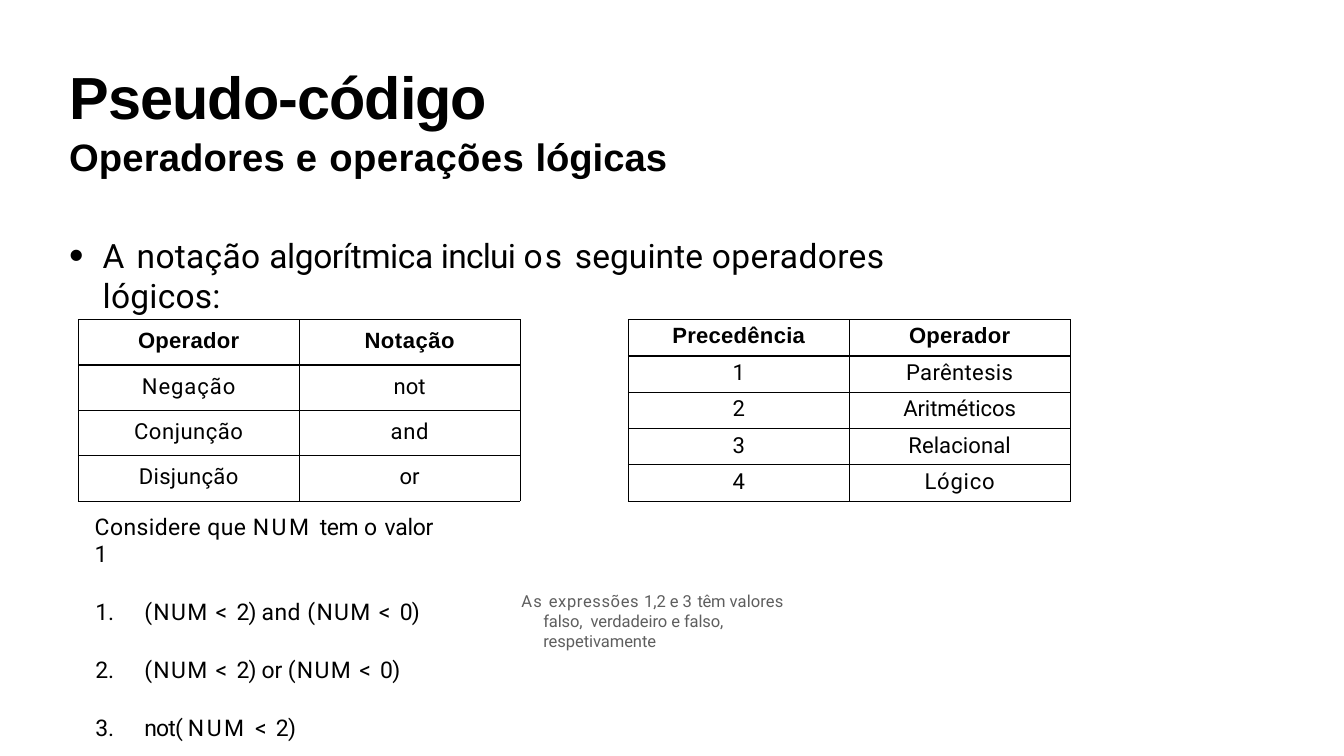
from lxml.etree import SubElement
from pptx import Presentation
from pptx.dml.color import RGBColor
from pptx.enum.text import MSO_ANCHOR, MSO_AUTO_SIZE, PP_ALIGN
from pptx.oxml.ns import qn
from pptx.util import Pt

BLACK = RGBColor(0x00, 0x00, 0x00)
GRAY = RGBColor(0x5E, 0x5E, 0x5E)
SCALE = 9144
HEAD = "Arial"
BODY = "Roboto"


def px(size):
    return size * SCALE


class Deck:
    def __init__(self, width, height):
        self.show = Presentation()
        self.show.slide_width = px(width)
        self.show.slide_height = px(height)
        self.slide = self.show.slides.add_slide(self.show.slide_layouts[3])

    def place(self, shape, left, top, width, height):
        shape.left, shape.top = px(left), px(top)
        shape.width, shape.height = px(width), px(height)
        frame = shape.text_frame
        frame.margin_left = frame.margin_right = frame.margin_bottom = 0
        frame.margin_top = px(1)
        frame.word_wrap = True
        frame.auto_size = MSO_AUTO_SIZE.NONE
        frame.vertical_anchor = MSO_ANCHOR.TOP
        return frame

    def holder(self, index, *box):
        return self.place(self.slide.placeholders[index], *box)

    def box(self, *box):
        return self.place(self.slide.shapes.add_textbox(0, 0, 0, 0), *box)

    def style(self, run, size, face, space, color=BLACK, bold=False):
        font = run.font
        font.size, font.name, font.bold = Pt(size), face, bold
        font.color.rgb = color
        run._r.get_or_add_rPr().set("spc", str(round(space * 100)))

    def line(self, para, parts, size, face=BODY, color=BLACK, bold=False,
             before=1, margin=0, hang=0, mark=None):
        para.alignment = PP_ALIGN.LEFT
        para.space_before = Pt(before)
        props = para._p.get_or_add_pPr()
        props.set("marL", str(px(margin)))
        props.set("indent", str(px(-hang)))
        if mark == "dot":
            SubElement(props, qn("a:buSzPct"), val="123000")
            SubElement(props, qn("a:buFont"), typeface=HEAD)
            SubElement(props, qn("a:buChar"), char="•")
        elif mark == "number":
            SubElement(props, qn("a:buFont"), typeface=BODY)
            SubElement(props, qn("a:buAutoNum"), type="arabicPeriod")
        else:
            SubElement(props, qn("a:buNone"))
        for text, space in parts:
            run = para.add_run()
            run.text = text
            self.style(run, size, face, space, color, bold)

    def border(self, cell, side, width):
        edge = SubElement(cell._tc.get_or_add_tcPr(), qn(f"a:ln{side}"),
                          w=str(Pt(width)))
        fill = SubElement(edge, qn("a:solidFill"))
        SubElement(fill, qn("a:srgbClr"), val=str(BLACK))

    def table(self, left, top, width, height, pad, rows):
        frame = self.slide.shapes.add_table(
            len(rows), 2, px(left), px(top), px(width), px(height))
        table = frame.table
        table.first_row = table.horz_banding = False
        for r, row in enumerate(rows):
            for c, (text, space) in enumerate(row):
                cell = table.cell(r, c)
                cell.text = text
                cell.margin_left = cell.margin_right = cell.margin_bottom = 0
                cell.margin_top = px(pad)
                para = cell.text_frame.paragraphs[0]
                para.alignment = PP_ALIGN.CENTER
                self.style(para.runs[0], 26, BODY if r else HEAD, space,
                           bold=r == 0)
                for side in "LR":
                    self.border(cell, side, 1)
                self.border(cell, "T", 3 if r == 1 else 1)
                self.border(cell, "B", 3 if r == 0 else 1)
                cell.fill.background()


def less(start, limit):
    return [*start, ("< ", 2.1), (limit, -0.9)]


def main():
    deck = Deck(2199, 1237)

    title = deck.holder(0, 112, 97, 980, 197)
    deck.line(title.paragraphs[0], [("Pseudo-código", -1.1)], 70, HEAD,
              bold=True, margin=2)
    deck.line(title.add_paragraph(),
              [("Operadores ", 0.2), ("e ", 1), ("operações ", 0.5),
               ("lógicas", 0)], 45, HEAD, bold=True, before=2, margin=1)

    intro = deck.holder(1, 112, 383, 1537, 69)
    deck.line(intro.paragraphs[0],
              [("A ", 2.3), ("notação ", 0.4), ("algorítmica", -0.5),
               (" inclui ", -0.9), ("os ", 2.6), ("seguinte ", 0.1),
               ("operadores ", 0.5), ("lógicos:", 0.3)],
              39.5, margin=56, hang=55, mark="dot")

    deck.table(128, 523, 723, 297, 14, [
        [("Operador", 0.3), ("Notação", 0.6)],
        [("Negação", 1.1), ("not", -0.1)],
        [("Conjunção", 0.6), ("and", 0.7)],
        [("Disjunção", 0.4), ("or", -0.1)],
    ])
    deck.table(1028, 523, 723, 297, 7, [
        [("Precedência", 0.3), ("Operador", 0.3)],
        [("1", 0), ("Parêntesis", 0.4)],
        [("2", 0), ("Aritméticos", -0.1)],
        [("3", 0), ("Relacional", 0.1)],
        [("4", 0), ("Lógico", 0.9)],
    ])

    tests = deck.holder(2, 154, 837, 578, 324)
    deck.line(tests.paragraphs[0],
              [("Considere que ", 0.5), ("NUM ", 3), ("tem ", -0.5),
               ("o ", 1.1), ("valor ", -0.3), ("1", 0.9)], 27, margin=1)
    left = [("(NUM ", 1.6)]
    right = less(left, "0)")
    for parts in (
        [*less(left, "2) "), ("and ", 0.6), *right],
        [*less(left, "2) "), ("or ", -0.2), *right],
        less([("not( ", -0.9), ("NUM ", 3)], "2)"),
    ):
        deck.line(tests.add_paragraph(), parts, 27, before=36,
                  margin=82, hang=80, mark="number")

    note = deck.box(851, 965, 497, 69)
    deck.line(note.paragraphs[0],
              [("As ", 1.6), ("expressões ", 0.7), ("1,2 e ", -0.1),
               ("3 ", 0.8), ("têm ", -0.3), ("valores ", 0.1),
               ("falso,  ", -0.2), ("verdadeiro e ", -0.1),
               ("falso, ", -0.2), ("respetivamente", -0.1)],
              19.5, color=GRAY, margin=38, hang=36)
    note.paragraphs[0].line_spacing = 1.02

    deck.show.save("out.pptx")


if __name__ == "__main__":
    main()
